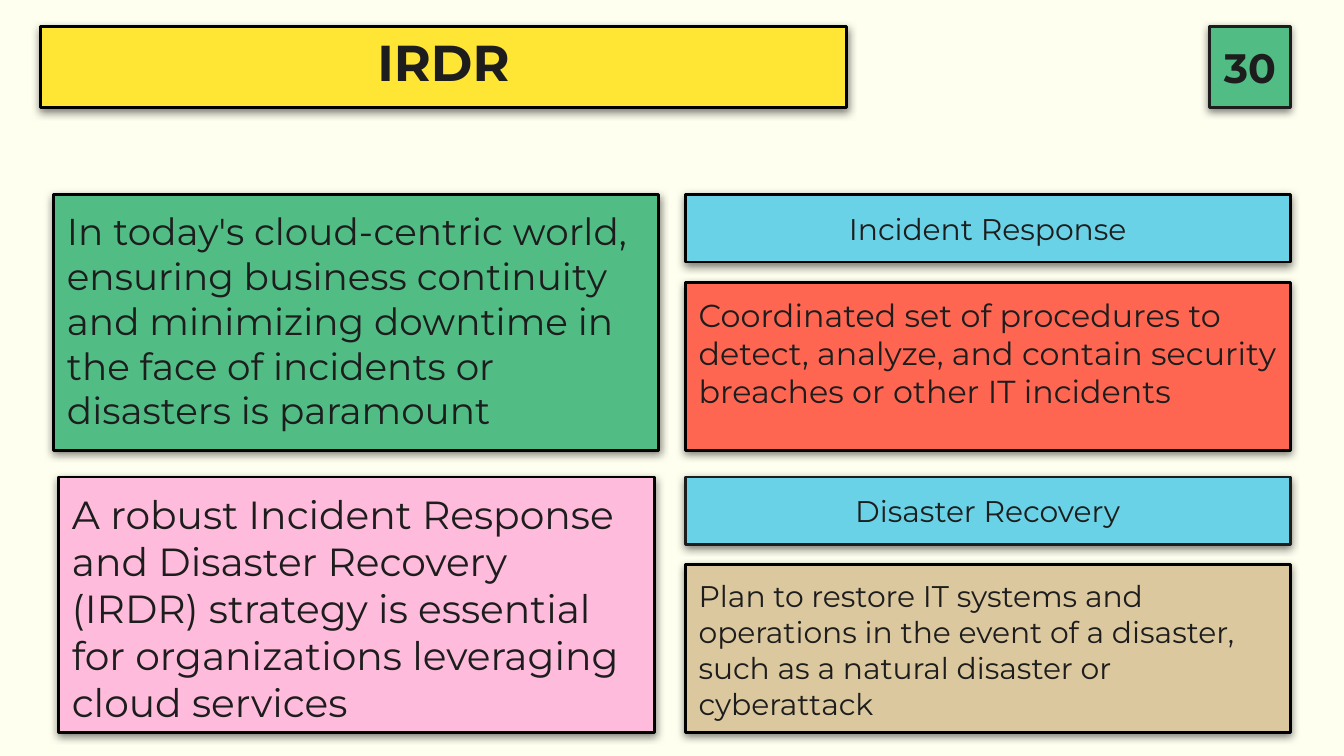
from dataclasses import dataclass

from lxml.etree import SubElement
from pptx import Presentation
from pptx.dml.color import RGBColor
from pptx.enum.shapes import MSO_SHAPE
from pptx.enum.text import MSO_ANCHOR, PP_ALIGN
from pptx.oxml.ns import qn
from pptx.shapes.autoshape import Shape
from pptx.slide import Slide
from pptx.util import Pt


@dataclass(frozen=True)
class Theme:
    font: str = "Montserrat"
    background: str = "FFFFF0"
    ink: str = "1D1D1D"
    outline: str = "000000"
    yellow: str = "FFE534"
    green: str = "51BD85"
    blue: str = "6AD2E6"
    red: str = "FF6652"
    pink: str = "FFBBDC"
    tan: str = "DBC89F"
    title_size: float = 27
    number_size: float = 22
    strategy_size: float = 21
    intro_size: float = 20
    response_size: float = 17
    body_size: float = 16
    inset: float = 7.2
    line_width: float = 1.5
    shadow_blur: float = 4.5
    shadow_distance: float = 1.5


THEME = Theme()


@dataclass(frozen=True)
class Card:
    text: str
    left: float
    top: float
    width: float
    height: float
    fill: str
    size: float
    centered: bool = False
    bold: bool = False
    outline: str = THEME.outline
    line_spacing: float = 1.0


HEADER_TOP, HEADER_HEIGHT = 14.4, 43.2
RIGHT_LEFT, COLUMN_WIDTH = 367.2, 324
ROW_TOPS = (104.4, 255.6)
ROW_HEIGHT, LABEL_HEIGHT, DETAIL_HEIGHT = 136.8, 36, 90
DETAIL_OFFSET = ROW_HEIGHT - DETAIL_HEIGHT


def topic_cards(top: float, label: str, detail: str, fill: str, size: float,
                outline: str) -> list[Card]:
    return [
        Card(label, RIGHT_LEFT, top, COLUMN_WIDTH, LABEL_HEIGHT, THEME.blue,
             THEME.body_size, centered=True, outline=outline),
        Card(detail, RIGHT_LEFT, top + DETAIL_OFFSET, COLUMN_WIDTH, DETAIL_HEIGHT,
             fill, size),
    ]


CARDS = [
    Card("30", 648, HEADER_TOP, HEADER_HEIGHT, HEADER_HEIGHT, THEME.green,
         THEME.number_size, centered=True, bold=True, outline=THEME.ink),
    Card("IRDR", 21.6, HEADER_TOP, 432, HEADER_HEIGHT, THEME.yellow,
         THEME.title_size, centered=True, bold=True, line_spacing=0.8),
    Card("In today's cloud-centric world, ensuring business continuity and "
         "minimizing downtime in the face of incidents or disasters is paramount",
         28.8, ROW_TOPS[0], COLUMN_WIDTH, ROW_HEIGHT, THEME.green, THEME.intro_size),
    Card("A robust Incident Response and Disaster Recovery (IRDR) strategy is "
         "essential for organizations leveraging cloud services",
         31.5, ROW_TOPS[1], 319, ROW_HEIGHT, THEME.pink, THEME.strategy_size),
    *topic_cards(ROW_TOPS[0], "Incident Response",
                 "Coordinated set of procedures to detect, analyze, and contain "
                 "security breaches or other IT incidents",
                 THEME.red, THEME.response_size, THEME.outline),
    *topic_cards(ROW_TOPS[1], "Disaster Recovery",
                 "Plan to restore IT systems and operations in the event of a "
                 "disaster, such as a natural disaster or cyberattack",
                 THEME.tan, THEME.body_size, THEME.ink),
]


def add_shadow(box: Shape) -> None:
    box.shadow.inherit = False
    effects = box._element.spPr.find(qn("a:effectLst"))
    shadow = SubElement(effects, qn("a:outerShdw"), {
        "blurRad": str(Pt(THEME.shadow_blur)),
        "dist": str(Pt(THEME.shadow_distance)),
        "dir": "5400000",
        "algn": "bl",
        "rotWithShape": "0",
    })
    color = SubElement(shadow, qn("a:srgbClr"), val=THEME.outline)
    SubElement(color, qn("a:alpha"), val="50000")


def add_card(page: Slide, card: Card) -> None:
    box = page.shapes.add_shape(MSO_SHAPE.RECTANGLE, Pt(card.left), Pt(card.top),
                                Pt(card.width), Pt(card.height))
    box.fill.solid()
    box.fill.fore_color.rgb = RGBColor.from_string(card.fill)
    box.line.color.rgb = RGBColor.from_string(card.outline)
    box.line.width = Pt(THEME.line_width)
    add_shadow(box)

    frame = box.text_frame
    frame.text = card.text
    frame.word_wrap = True
    frame.margin_left = frame.margin_right = Pt(THEME.inset)
    frame.margin_top = frame.margin_bottom = Pt(THEME.inset)
    frame.vertical_anchor = MSO_ANCHOR.MIDDLE if card.centered else MSO_ANCHOR.TOP
    para = frame.paragraphs[0]
    para.alignment = PP_ALIGN.CENTER if card.centered else PP_ALIGN.LEFT
    para.line_spacing = card.line_spacing
    for span in para.runs:
        span.font.name = THEME.font
        span.font.size = Pt(card.size)
        span.font.bold = card.bold
        span.font.color.rgb = RGBColor.from_string(THEME.ink)


def main() -> None:
    deck = Presentation()
    deck.slide_width, deck.slide_height = Pt(720), Pt(405)
    page = deck.slides.add_slide(deck.slide_layouts[6])
    page.background.fill.solid()
    page.background.fill.fore_color.rgb = RGBColor.from_string(THEME.background)
    for card in CARDS:
        add_card(page, card)
    deck.save("out.pptx")


if __name__ == "__main__":
    main()
